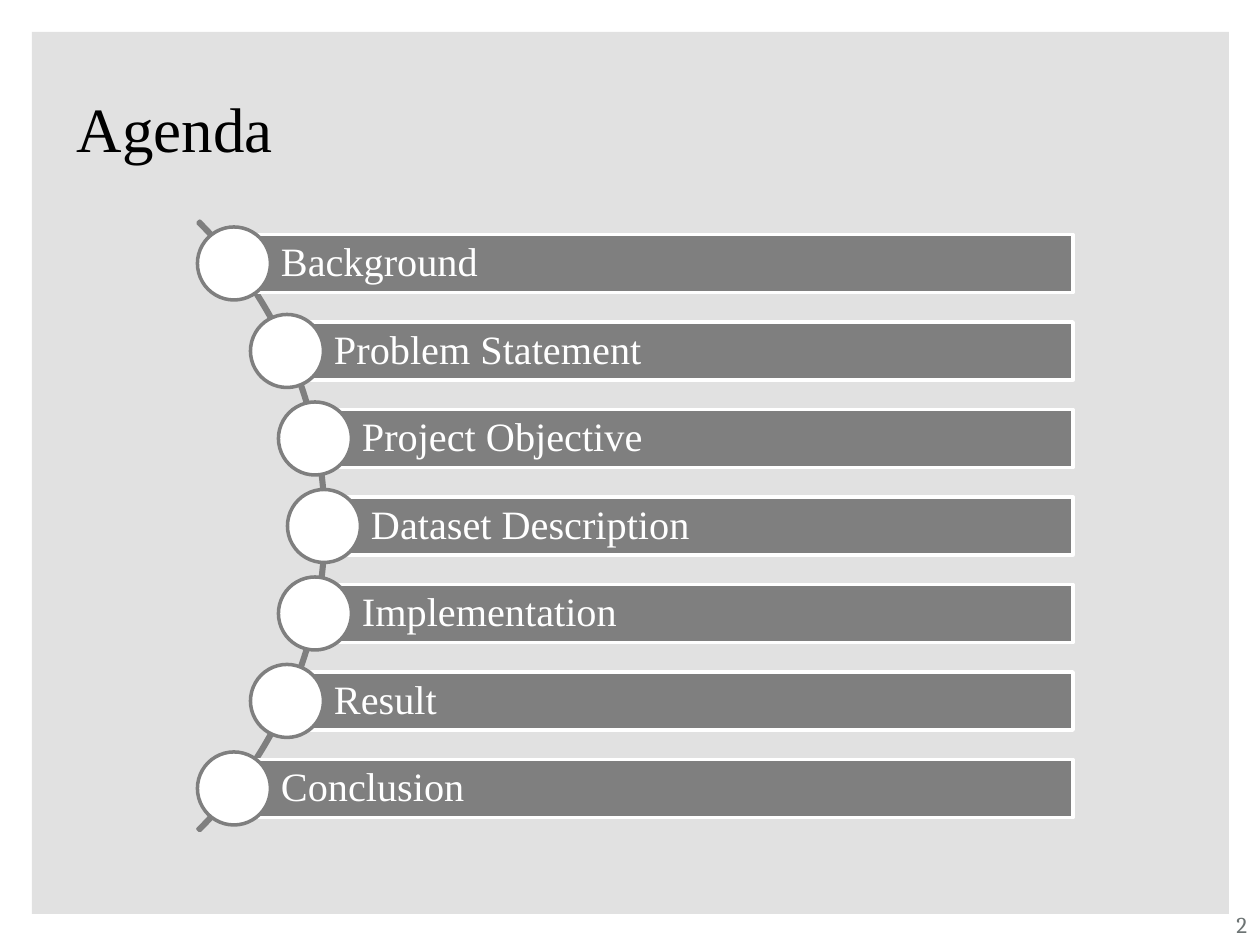
from math import sqrt

from pptx import Presentation
from pptx.dml.color import RGBColor
from pptx.enum.shapes import MSO_SHAPE
from pptx.enum.text import MSO_ANCHOR, PP_ALIGN
from pptx.util import Emu, Pt

EMU_PER_PX = 914400 / 126
GRAY, WHITE = "7F7F7F", "FFFFFF"
SERIF = "Times New Roman"
TOPICS = ["Background", "Problem Statement", "Project Objective",
          "Dataset Description", "Implementation", "Result", "Conclusion"]

# Arc and rows, in px
ARC_X, ARC_Y, ARC_RADIUS = -105, 526, 431
NODE_RADIUS = 429
ROW_PITCH = 87.5
BAR_RIGHT, BAR_HEIGHT = 1073, 58
DOT = 73


def px(value):
    return Emu(round(value * EMU_PER_PX))


def color(hex_string):
    return RGBColor.from_string(hex_string)


def set_all(target, values):
    for name, value in values.items():
        setattr(target, name, value)


def add_shape(page, kind, box, fill=None, line=None):
    shape = page.shapes.add_shape(kind, *map(px, box))
    shape.shadow.inherit = False
    if fill:
        shape.fill.solid()
        shape.fill.fore_color.rgb = color(fill)
    else:
        shape.fill.background()
    if line:
        shape.line.color.rgb = color(line)
        shape.line.width = Pt(2)
    else:
        shape.line.fill.background()
    return shape


def write(shape, text, size, font, ink, insets, anchor=MSO_ANCHOR.MIDDLE,
          align=PP_ALIGN.LEFT, spacing=1.0):
    frame = shape.text_frame
    left, top, right, bottom = map(px, insets)
    set_all(frame, {"word_wrap": True, "vertical_anchor": anchor,
                    "margin_left": left, "margin_top": top,
                    "margin_right": right, "margin_bottom": bottom})
    para = frame.paragraphs[0]
    set_all(para, {"alignment": align, "line_spacing": spacing})
    span = para.add_run()
    span.text = text
    set_all(span.font, {"size": Pt(size), "name": font})
    span.font.color.rgb = color(ink)


def add_label(page, box, text, size, font, ink, **layout):
    label = page.shapes.add_textbox(*map(px, box))
    write(label, text, size, font, ink, (13, 13, 13, 13), **layout)


def add_arc(page):
    arc = add_shape(page, MSO_SHAPE.BLOCK_ARC,
                    (ARC_X - ARC_RADIUS, ARC_Y - ARC_RADIUS,
                     2 * ARC_RADIUS, 2 * ARC_RADIUS), line=GRAY)
    # From 315 to 45 degrees, as a thin band
    for index, value in enumerate((189, 27, 0.003)):
        arc.adjustments[index] = value


def add_topic(page, offset, topic):
    # Each dot is centred on the arc, and its bar starts at that centre
    x = round(ARC_X + sqrt(NODE_RADIUS ** 2 - offset ** 2))
    y = ARC_Y + offset
    bar = add_shape(page, MSO_SHAPE.RECTANGLE,
                    (x, y - BAR_HEIGHT / 2, BAR_RIGHT - x, BAR_HEIGHT),
                    GRAY, WHITE)
    write(bar, topic, 23, SERIF, WHITE, (47, 8, 8, 8), spacing=0.9)
    add_shape(page, MSO_SHAPE.OVAL,
              (x - DOT / 2, y - DOT / 2, DOT, DOT), WHITE, GRAY)


def main():
    deck = Presentation()
    set_all(deck, {"slide_width": px(1260), "slide_height": px(945)})
    page = deck.slides.add_slide(deck.slide_layouts[6])

    # Panel, title and page number
    add_shape(page, MSO_SHAPE.RECTANGLE, (32, 32, 1197, 882), "E1E1E1")
    add_label(page, (64, 60, 998, 135), "Agenda", 36, SERIF, "000000")
    add_label(page, (1184, 898, 76, 72), "2", 13, "Cambria", "6C7373",
              anchor=MSO_ANCHOR.TOP, align=PP_ALIGN.RIGHT)

    # Agenda along the arc
    add_arc(page)
    middle = (len(TOPICS) - 1) / 2
    for row, topic in enumerate(TOPICS):
        add_topic(page, (row - middle) * ROW_PITCH, topic)

    deck.save("out.pptx")


if __name__ == "__main__":
    main()
